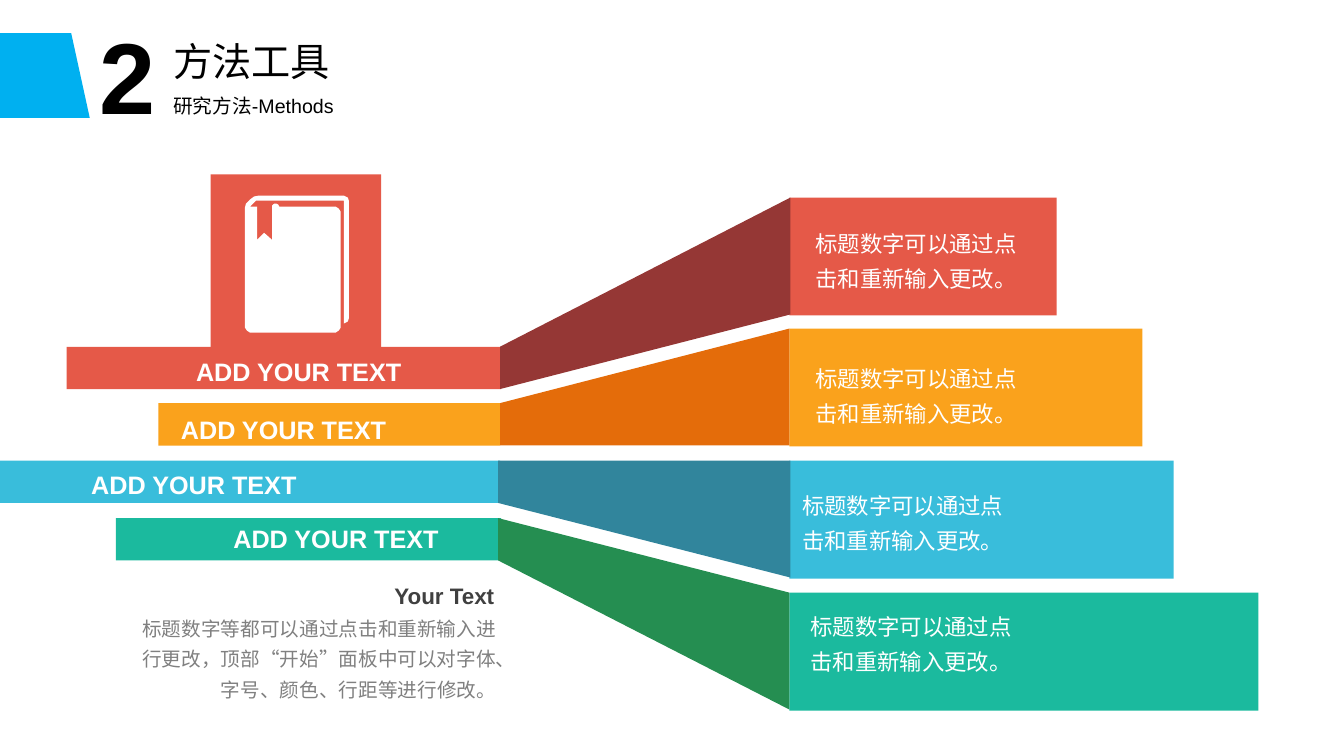
from dataclasses import dataclass

from pptx import Presentation
from pptx import util as u
from pptx.dml.color import RGBColor
from pptx.enum import shapes, text

PX = u.Inches(1) // 100


@dataclass(frozen=True)
class Theme:
    font: str = "Arial"
    accent: str = "00B0F0"
    black: str = "000000"
    white: str = "FFFFFF"
    dark: str = "404040"
    grey: str = "808080"
    red: str = "E55948"
    red_shade: str = "953735"
    orange: str = "FAA21C"
    orange_shade: str = "E46C0A"
    blue: str = "39BDDB"
    blue_shade: str = "31859C"
    green: str = "1BBA9E"
    green_shade: str = "258E51"
    number: int = 72
    title: int = 28
    label: int = 18
    body: int = 16
    small: int = 14


@dataclass(frozen=True)
class Box:
    x: int
    y: int
    w: int
    h: int


@dataclass(frozen=True)
class Band:
    color: str
    shade: str
    bar_left: int
    bar_right: int
    fan_left: int
    fan_right: int
    panel_w: int
    label: tuple[int, int]
    body: tuple[int, int]


@dataclass(frozen=True)
class Caption:
    words: str
    box: Box
    size: int
    color: str
    bold: bool = False
    right: bool = False
    wrap: bool = True
    spacing: float = 1.0


T = Theme()
BAR_H, PANEL_H, PANEL_X = 42, 117, 783
LABEL = "ADD YOUR TEXT"
BODY = "标题数字可以通过点击和重新输入更改。"

BANDS = [
    Band(T.red, T.red_shade, 66, 497, 496, 784, 265, (183, 349), (799, 215)),
    Band(T.orange, T.orange_shade, 157, 496, 496, 783, 350, (168, 406), (799, 349)),
    Band(T.blue, T.blue_shade, -2, 496, 494, 784, 381, (79, 461), (786, 475)),
    Band(T.green, T.green_shade, 115, 497, 494, 783, 465, (220, 514), (794, 595)),
]

CAPTIONS = [
    Caption("2", Box(89, 9, 146, 131), T.number, T.black, bold=True),
    Caption("方法工具", Box(162, 32, 179, 57), T.title, T.black),
    Caption("研究方法-Methods", Box(162, 88, 298, 34), T.small, T.black),
    Caption("Your Text", Box(11, 573, 489, 49), T.body, T.dark, bold=True, right=True),
    Caption("标题数字等都可以通过点击和重新输入进行更改，顶部“开始”面板中可以对字体、字号、颜色、行距等进行修改。",
            Box(115, 600, 387, 102), T.small, T.grey, right=True, spacing=1.3),
]

BOOK = [
    (341, 194), (257, 194), (252, 195), (248, 198), (244, 202), (243, 206),
    (243, 325), (245, 328), (248, 330), (333, 330), (336, 328), (338, 325),
    (338, 210), (336, 207), (333, 205), (277, 205), (276, 203), (274, 202),
    (272, 202), (270, 204), (270, 238), (262, 231), (255, 238), (255, 205),
    (248, 205), (254, 199), (341, 199), (341, 321), (345, 319), (346, 316),
    (346, 199), (345, 196), (343, 195),
]


def paint(sp, color: str) -> None:
    sp.shadow.inherit = False
    sp.fill.solid()
    sp.fill.fore_color.rgb = RGBColor.from_string(color)
    sp.line.fill.background()


def add_block(s, box: Box, color: str, kind=shapes.MSO_SHAPE.RECTANGLE):
    sp = s.shapes.add_shape(kind, box.x * PX, box.y * PX, box.w * PX, box.h * PX)
    paint(sp, color)
    return sp


def add_outline(s, points: list[tuple[int, int]], color: str) -> None:
    builder = s.shapes.build_freeform(*points[0], scale=PX)
    builder.add_line_segments(points[1:], close=True)
    paint(builder.convert_to_shape(), color)


def add_caption(s, c: Caption) -> None:
    b = c.box
    tf = s.shapes.add_textbox(b.x * PX, b.y * PX, b.w * PX, b.h * PX).text_frame
    tf.word_wrap = c.wrap
    tf.auto_size = text.MSO_AUTO_SIZE.SHAPE_TO_FIT_TEXT
    p = tf.paragraphs[0]
    p.text = c.words
    p.alignment = text.PP_ALIGN.RIGHT if c.right else text.PP_ALIGN.LEFT
    p.line_spacing = c.spacing
    p.font.name = T.font
    p.font.size = u.Pt(c.size)
    p.font.bold = c.bold
    p.font.color.rgb = RGBColor.from_string(c.color)


def add_band(s, band: Band, row: int) -> None:
    bar_y = 344 + 170 * row // 3
    panel_y = 196 + 392 * row // 3
    add_block(s, Box(PANEL_X, panel_y, band.panel_w, PANEL_H), band.color)
    add_block(s, Box(band.bar_left, bar_y, band.bar_right - band.bar_left, BAR_H), band.color)
    add_outline(s, [
        (band.fan_left, bar_y), (band.fan_right, panel_y),
        (band.fan_right, panel_y + PANEL_H - 1), (band.fan_left, bar_y + BAR_H),
    ], band.shade)
    add_caption(s, Caption(BODY, Box(*band.body, 236, 80), T.body, T.white, spacing=1.3))
    add_caption(s, Caption(LABEL, Box(*band.label, 225, 40), T.label, T.white,
                           bold=True, right=True, wrap=False))


def main() -> None:
    prs = Presentation()
    prs.slide_width, prs.slide_height = u.Inches(13.33), u.Inches(7.5)
    s = prs.slides.add_slide(prs.slide_layouts[6])
    tab = add_block(s, Box(1, 29, 84, 92), T.accent, shapes.MSO_SHAPE.FLOWCHART_MANUAL_INPUT)
    tab.rotation = 90
    add_block(s, Box(209, 173, 169, 175), T.red)
    add_outline(s, BOOK, T.white)
    for row, band in enumerate(BANDS):
        add_band(s, band, row)
    for caption in CAPTIONS:
        add_caption(s, caption)
    prs.save("out.pptx")


if __name__ == "__main__":
    main()
